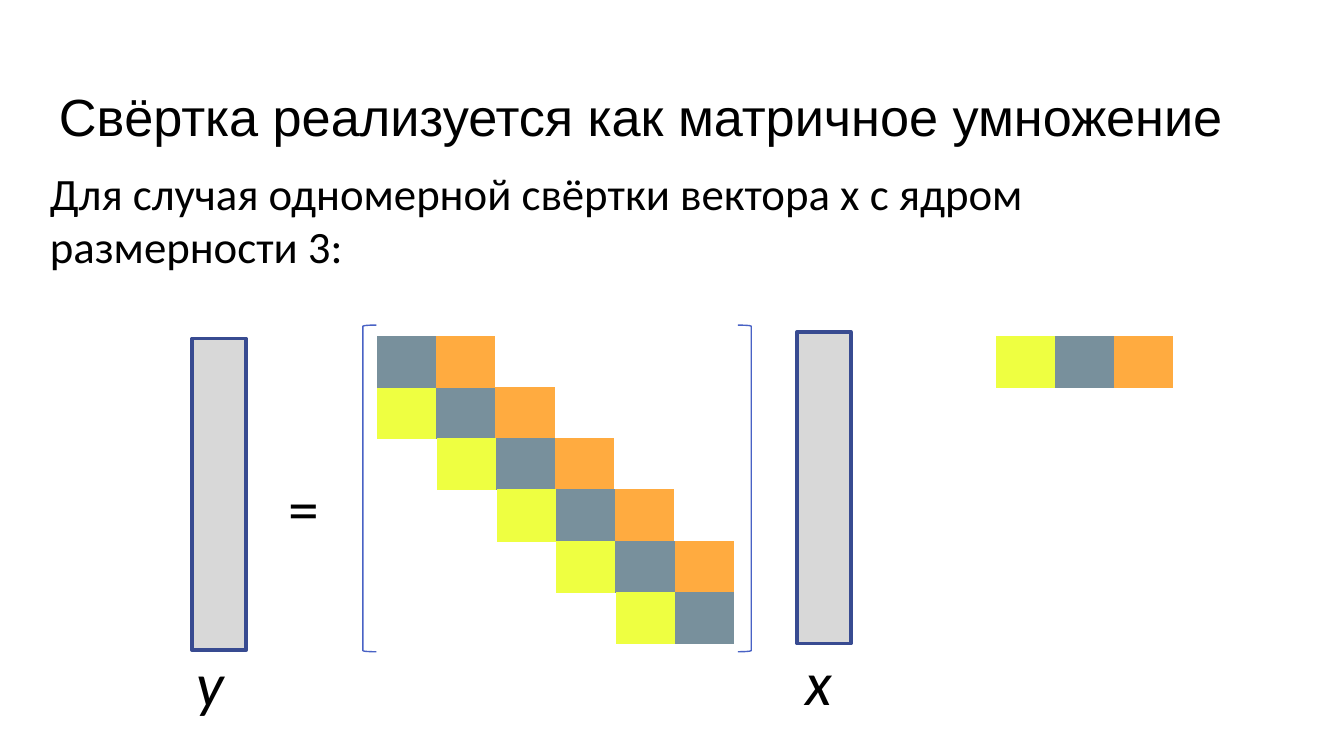
from dataclasses import dataclass

from pptx import Presentation
from pptx import util as u
from pptx.dml.color import RGBColor
from pptx.enum import shapes, text
from pptx.oxml.ns import qn

Pt = u.Pt


@dataclass(frozen=True)
class Theme:
    ink: str = "000000"
    yellow: str = "EEFF41"
    slate: str = "78909C"
    orange: str = "FFAB40"
    vector_fill: str = "D8D8D8"
    vector_line: str = "384B91"
    bracket_line: str = "4962C5"
    title_font: str = "Arial"
    body_font: str = "Calibri"
    title_size: float = 28
    body_size: float = 24
    symbol_size: float = 33


@dataclass(frozen=True)
class Frame:
    left: float
    top: float
    width: float
    height: float

    def lengths(self) -> tuple:
        return Pt(self.left), Pt(self.top), Pt(self.width), Pt(self.height)


@dataclass(frozen=True)
class Label:
    wording: str
    frame: Frame
    size: float
    font: str
    italic: bool = False
    wrap: bool = True
    insets: tuple = (13, 6.5, 13, 6.5)


@dataclass(frozen=True)
class Strip:
    left: float
    top: float
    colours: tuple


THEME = Theme()
NO_STYLE_NO_GRID = "{2D5ABB26-0587-4C30-8999-92F81FD0307C}"
CELL_WIDTH, CELL_HEIGHT = 31.7, 28
MATRIX_LEFT, MATRIX_TOP = 202, 180
STEP_X, STEP_Y = 32, 27.4
KERNEL = (THEME.yellow, THEME.slate, THEME.orange)


def matrix_strips(size: int = 6) -> list[Strip]:
    """Shift the kernel along the diagonal, trimming it at both ends."""
    strips = []
    for row in range(size):
        first = 1 if row == 0 else 0
        last = 2 if row == size - 1 else 3
        left = MATRIX_LEFT + STEP_X * max(row - 1, 0)
        strips.append(Strip(left, MATRIX_TOP + STEP_Y * row, KERNEL[first:last]))
    return strips


def add_strip(page, strip: Strip) -> None:
    count = len(strip.colours)
    frame = Frame(strip.left, strip.top, CELL_WIDTH * count, CELL_HEIGHT)
    table = page.shapes.add_table(1, count, *frame.lengths()).table
    table.first_row = table.horz_banding = False
    table._tbl.tblPr.find(qn("a:tableStyleId")).text = NO_STYLE_NO_GRID
    for column, colour in enumerate(strip.colours):
        table.columns[column].width = Pt(CELL_WIDTH)
        cell = table.cell(0, column)
        cell.margin_top = cell.margin_bottom = Pt(0)
        cell.fill.solid()
        cell.fill.fore_color.rgb = RGBColor.from_string(colour)


def add_outline(page, kind, frame: Frame, line: str, weight: float):
    shape = page.shapes.add_shape(kind, *frame.lengths())
    shape.shadow.inherit = False
    shape.fill.background()
    shape.line.color.rgb = RGBColor.from_string(line)
    shape.line.width = Pt(weight)
    return shape


def add_vector(page, frame: Frame) -> None:
    vector = add_outline(page, shapes.MSO_SHAPE.RECTANGLE, frame, THEME.vector_line, 2)
    vector.fill.solid()
    vector.fill.fore_color.rgb = RGBColor.from_string(THEME.vector_fill)


def add_label(page, label: Label) -> None:
    box = page.shapes.add_textbox(*label.frame.lengths())
    body = box.text_frame
    body.word_wrap = label.wrap
    body.vertical_anchor = text.MSO_ANCHOR.TOP
    (body.margin_left, body.margin_top,
     body.margin_right, body.margin_bottom) = map(Pt, label.insets)
    span = body.paragraphs[0].add_run()
    span.text = label.wording
    span.font.name = label.font
    span.font.size = Pt(label.size)
    span.font.italic = label.italic
    span.font.color.rgb = RGBColor.from_string(THEME.ink)


def symbol(wording: str, left: float, top: float, italic: bool) -> Label:
    return Label(wording, Frame(left, top, 46, 43), THEME.symbol_size,
                 THEME.body_font, italic, wrap=False)


LABELS = (
    Label("Для случая одномерной свёртки вектора x с ядром размерности 3:",
          Frame(13.7, 82, 655, 75.6), THEME.body_size, THEME.body_font),
    symbol("=", 141.8, 245.5, False),
    symbol("x", 418.3, 338.4, True),
    symbol("y", 92.2, 339.1, True),
    Label("Свёртка реализуется как матричное умножение",
          Frame(24.5, 35.3, 671, 45.4), THEME.title_size, THEME.title_font,
          insets=(7.2, 10, 7.2, 4)),
)
VECTORS = (Frame(103, 181.4, 28.8, 167), Frame(427, 177.8, 28.8, 167))
BRACKETS = (
    (shapes.MSO_SHAPE.LEFT_BRACKET, Frame(194.4, 174.2, 7.2, 175)),
    (shapes.MSO_SHAPE.RIGHT_BRACKET, Frame(395.3, 174.2, 7.2, 175)),
)


def main() -> None:
    deck = Presentation()
    deck.slide_width, deck.slide_height = Pt(720), Pt(405)
    page = deck.slides.add_slide(deck.slide_layouts[6])

    top_strip, *lower_strips = matrix_strips()
    kernel_strip = Strip(533.5, MATRIX_TOP, KERNEL)
    for strip in (*lower_strips, top_strip, kernel_strip):
        add_strip(page, strip)
    for frame in VECTORS:
        add_vector(page, frame)
    for kind, frame in BRACKETS:
        bracket = add_outline(page, kind, frame, THEME.bracket_line, 0.75)
        bracket.adjustments[0] = 0.08
    for label in LABELS:
        add_label(page, label)

    deck.save("out.pptx")


if __name__ == "__main__":
    main()
